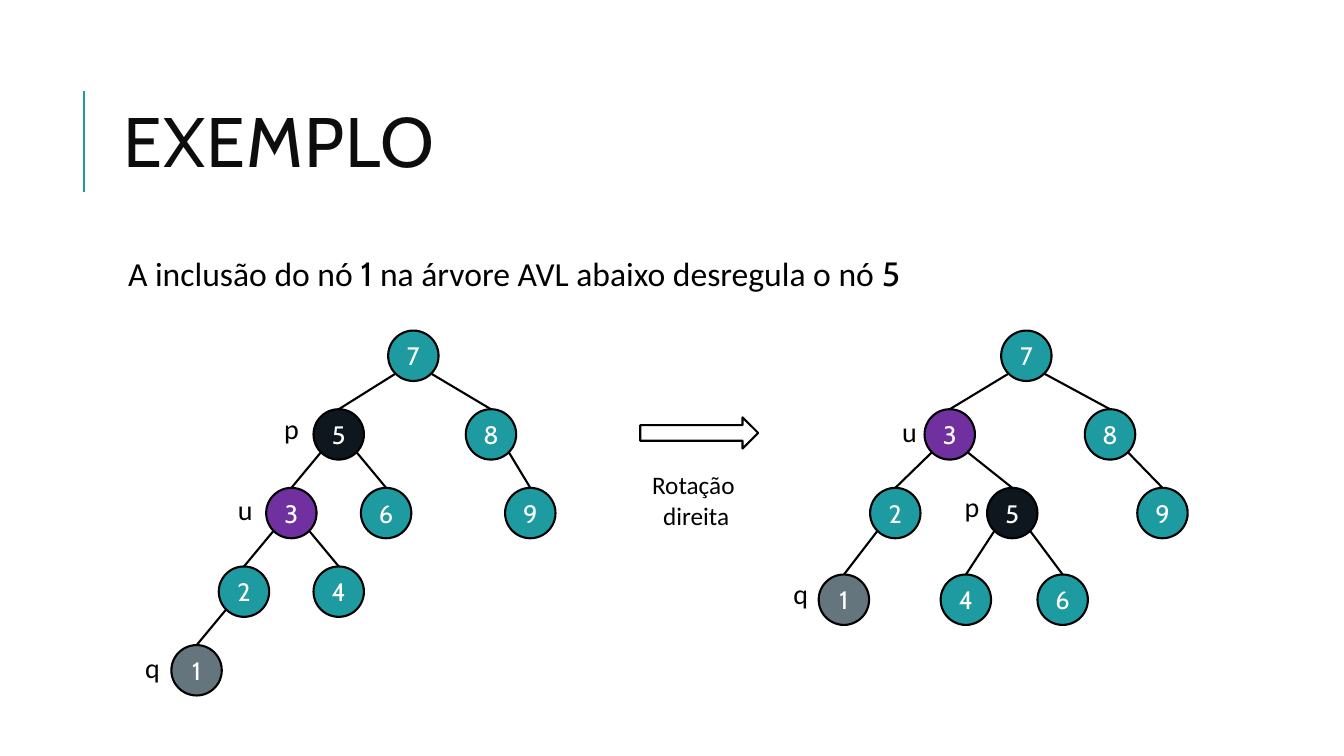
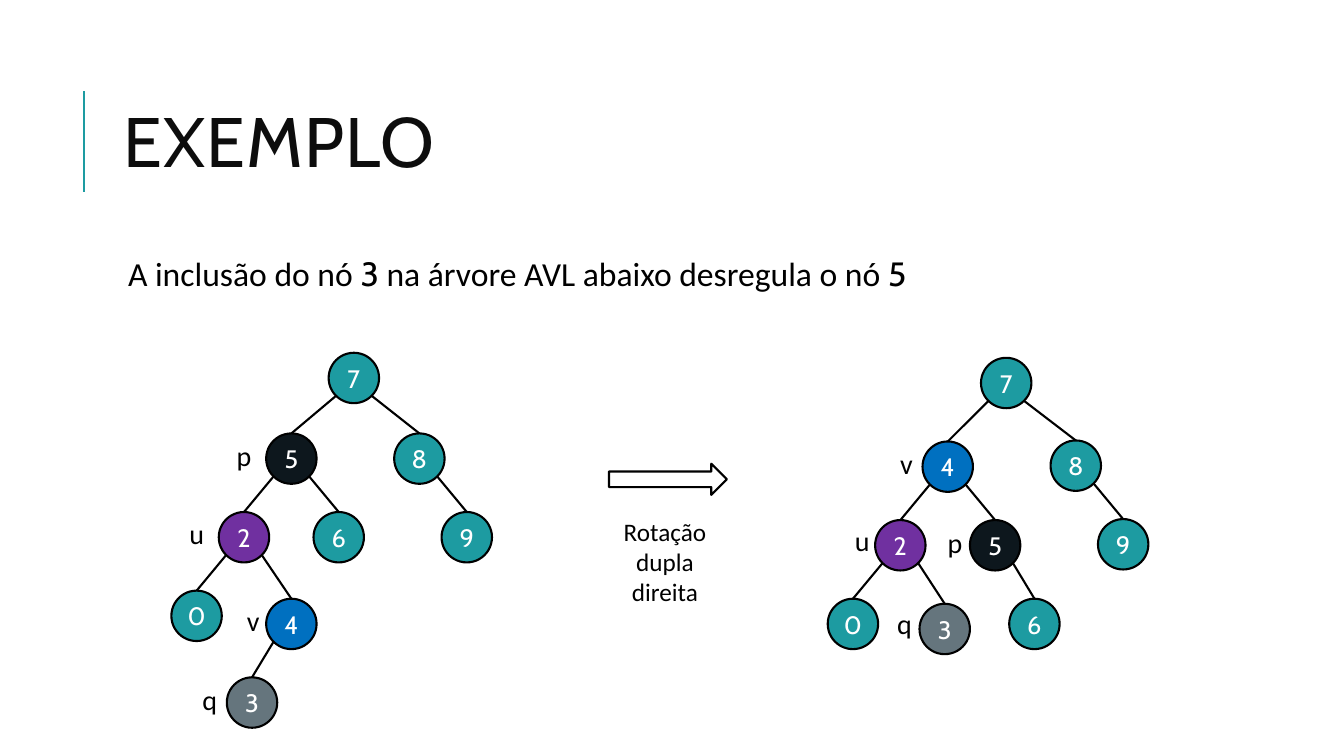
from dataclasses import dataclass
from math import sqrt

from pptx import Presentation
from pptx.dml.color import RGBColor
from pptx.enum.shapes import MSO_CONNECTOR, MSO_SHAPE
from pptx.enum.text import MSO_ANCHOR, MSO_AUTO_SIZE, PP_ALIGN
from pptx.oxml.ns import qn
from pptx.util import Inches, Pt

TEAL = RGBColor(0x1D, 0x9B, 0xA1)
NIGHT = RGBColor(0x0D, 0x17, 0x1D)
PURPLE = RGBColor(0x70, 0x30, 0xA0)
BLUE = RGBColor(0x00, 0x70, 0xC0)
SLATE = RGBColor(0x65, 0x75, 0x7D)
INK = RGBColor(0x0D, 0x0D, 0x0D)
BLACK = RGBColor(0x00, 0x00, 0x00)
WHITE = RGBColor(0xFF, 0xFF, 0xFF)

HEADING_FONT = "Cabin"
BODY_FONT = "Calibri"
LINE_WIDTH = Pt(1.5)
SLIDE_WIDTH, SLIDE_HEIGHT = 13.33, 7.5
MARGIN, CONTENT_WIDTH = 1.12, 10.63
NODE_SIZE = 0.5
COLUMN, ROW = 0.47, 0.78
ROLE_COLORS = {"p": NIGHT, "u": PURPLE, "v": BLUE, "q": SLATE}
ROLE_WIDTHS = {"p": 0.36, "u": 0.32, "v": 0.32, "q": 0.36}


@dataclass
class Node:
    """A tree node, placed by its offset from its parent."""
    value: int
    parent: int | None = None
    across: float = 0
    down: float = ROW
    role: str = ""
    label_gap: float = 0.32
    label_rise: float = 0


def write(frame, *paragraphs, size=18, color=BLACK, font=BODY_FONT,
          align=PP_ALIGN.LEFT, anchor=MSO_ANCHOR.TOP, wrap=True,
          inset=None, spacing=None, tracking=None):
    """Fill a text frame; a paragraph is a string or a list of (text, font)."""
    frame.word_wrap = wrap
    frame.auto_size = MSO_AUTO_SIZE.NONE if wrap else MSO_AUTO_SIZE.SHAPE_TO_FIT_TEXT
    frame.vertical_anchor = anchor
    if inset is not None:
        frame.margin_left = frame.margin_right = Inches(inset)
        frame.margin_top = frame.margin_bottom = Inches(inset)
    for index, content in enumerate(paragraphs):
        paragraph = frame.add_paragraph() if index else frame.paragraphs[0]
        paragraph.alignment = align
        if spacing:
            paragraph.line_spacing = spacing
        runs = [(content, font)] if isinstance(content, str) else content
        for text, run_font in runs:
            run = paragraph.add_run()
            run.text = text
            run.font.name = run_font
            run.font.size = Pt(size)
            run.font.color.rgb = color
            if tracking:
                run.font._element.set("spc", str(tracking * 100))


def add_text(slide, box, *paragraphs, **text_format):
    """Add a text box holding the given paragraphs."""
    shape = slide.shapes.add_textbox(*map(Inches, box))
    write(shape.text_frame, *paragraphs, **text_format)
    return shape


def add_outlined(slide, preset, box, fill=None):
    """Add a black-outlined preset shape without a shadow."""
    shape = slide.shapes.add_shape(preset, *map(Inches, box))
    shape.shadow.inherit = False
    shape.line.color.rgb = BLACK
    shape.line.width = LINE_WIDTH
    if fill is None:
        shape.fill.background()
    else:
        shape.fill.solid()
        shape.fill.fore_color.rgb = fill
    return shape


def add_line(slide, start, end, color=BLACK):
    """Draw a straight line without a shadow."""
    line = slide.shapes.add_connector(MSO_CONNECTOR.STRAIGHT, *map(Inches, (*start, *end)))
    line.line.color.rgb = color
    line.line.width = LINE_WIDTH
    properties = line._element.spPr
    properties.append(properties.makeelement(qn("a:effectLst"), {}))


def add_heading(slide, title, statement):
    """Place the title with its accent rule and the statement below."""
    add_line(slide, (0.83, 1.9), (0.83, 0.9), TEAL)
    heading = slide.shapes.title
    heading.left, heading.top, heading.width, heading.height = map(
        Inches, (MARGIN, 0.64, CONTENT_WIDTH, 1.64))
    write(heading.text_frame, title, size=50, color=INK, font=HEADING_FONT,
          anchor=MSO_ANCHOR.MIDDLE, spacing=0.8, tracking=1)
    body = add_text(slide, (MARGIN, 2.51, CONTENT_WIDTH, 4.4), statement,
                    size=24, inset=0.05, spacing=0.9)
    body.text_frame.margin_left = Inches(0.15)


def add_edge(slide, parent, child):
    """Join a parent's lower side to the top of its child."""
    radius = NODE_SIZE / 2
    reach = radius / sqrt(2)
    side = 1 if child[0] > parent[0] else -1
    start = (parent[0] + radius + side * reach, parent[1] + radius + reach)
    add_line(slide, start, (child[0] + radius, child[1]))


def add_node(slide, node, left, top):
    """Draw one numbered circle and its role letter."""
    circle = add_outlined(slide, MSO_SHAPE.OVAL, (left, top, NODE_SIZE, NODE_SIZE),
                          ROLE_COLORS.get(node.role, TEAL))
    write(circle.text_frame, str(node.value), color=WHITE, font=HEADING_FONT,
          align=PP_ALIGN.CENTER, anchor=MSO_ANCHOR.MIDDLE, inset=0)
    if node.role:
        box = (left - node.label_gap, top - node.label_rise, ROLE_WIDTHS[node.role], 0.44)
        add_text(slide, box, node.role, size=20, wrap=False)


def add_tree(slide, left, top, nodes):
    """Draw a tree whose root circle has its corner at left, top."""
    places = {}
    for node in nodes:
        if node.parent is None:
            places[node.value] = (left, top)
        else:
            parent = places[node.parent]
            places[node.value] = (parent[0] + node.across, parent[1] + node.down)
            add_edge(slide, parent, places[node.value])
        add_node(slide, node, *places[node.value])


def add_rotation(slide, left, top, *caption):
    """Draw the arrow between the trees with its caption below."""
    add_outlined(slide, MSO_SHAPE.RIGHT_ARROW, (left, top, 1.17, 0.31))
    add_text(slide, (left, top + 0.47, 1.11, 0.1 + 0.3 * len(caption)), *caption,
             align=PP_ALIGN.CENTER, wrap=False)


def add_example(presentation, included, before, after, rotation):
    """Add a slide showing a tree before and after a rotation."""
    slide = presentation.slides.add_slide(presentation.slide_layouts[5])
    add_heading(slide, "EXEMPLO", [
        ("A inclusão do nó ", BODY_FONT), (included, HEADING_FONT),
        (" na árvore AVL abaixo desregula o nó ", BODY_FONT), ("5", HEADING_FONT)])
    add_tree(slide, *before)
    add_rotation(slide, *rotation)
    add_tree(slide, *after)


SINGLE_BEFORE = [
    Node(7),
    Node(5, 7, -0.74, role="p", label_gap=0.39, label_rise=0.03),
    Node(8, 7, 0.77),
    Node(3, 5, -COLUMN, role="u", label_gap=0.38),
    Node(6, 5, COLUMN),
    Node(9, 8, 0.39),
    Node(2, 3, -COLUMN),
    Node(4, 3, COLUMN),
    Node(1, 2, -COLUMN, role="q", label_gap=0.36),
]
SINGLE_AFTER = [
    Node(7),
    Node(3, 7, -0.76, role="u"),
    Node(8, 7, 0.83),
    Node(2, 3, -0.54),
    Node(5, 3, 0.62, role="p", label_rise=0.03),
    Node(9, 8, 0.52),
    Node(1, 2, -0.51, 0.86, role="q", label_gap=0.35, label_rise=0.03),
    Node(4, 5, -0.46, 0.86),
    Node(6, 5, 0.5, 0.86),
]
DOUBLE_BEFORE = [
    Node(7),
    Node(5, 7, -0.62, 0.8, role="p", label_gap=0.39),
    Node(8, 7, 0.65, 0.8),
    Node(2, 5, -COLUMN, role="u", label_gap=0.39),
    Node(6, 5, COLUMN),
    Node(9, 8, COLUMN),
    Node(0, 2, -COLUMN),
    Node(4, 2, COLUMN, 0.86, role="v", label_gap=0.29),
    Node(3, 4, -0.39, role="q", label_gap=0.34),
]
DOUBLE_AFTER = [
    Node(7),
    Node(4, 7, -0.58, 0.83, role="v"),
    Node(8, 7, 0.69, 0.82),
    Node(2, 4, -COLUMN, role="u", label_gap=0.3, label_rise=0.02),
    Node(5, 4, COLUMN, role="p"),
    Node(9, 8, COLUMN),
    Node(0, 2, -COLUMN),
    Node(3, 2, 0.44, 0.83, role="q", label_rise=0.02),
    Node(6, 5, 0.39),
]


def main():
    """Build and save the presentation."""
    presentation = Presentation()
    presentation.slide_width = Inches(SLIDE_WIDTH)
    presentation.slide_height = Inches(SLIDE_HEIGHT)
    add_example(presentation, "1", (3.85, 3.28, SINGLE_BEFORE), (9.93, 3.28, SINGLE_AFTER),
                (6.35, 4.14, "Rotação ", "direita"))
    add_example(presentation, "3", (3.26, 3.5, DOUBLE_BEFORE), (9.73, 3.55, DOUBLE_AFTER),
                (6.04, 4.6, "Rotação", "dupla", "direita"))
    presentation.save("out.pptx")


if __name__ == "__main__":
    main()
